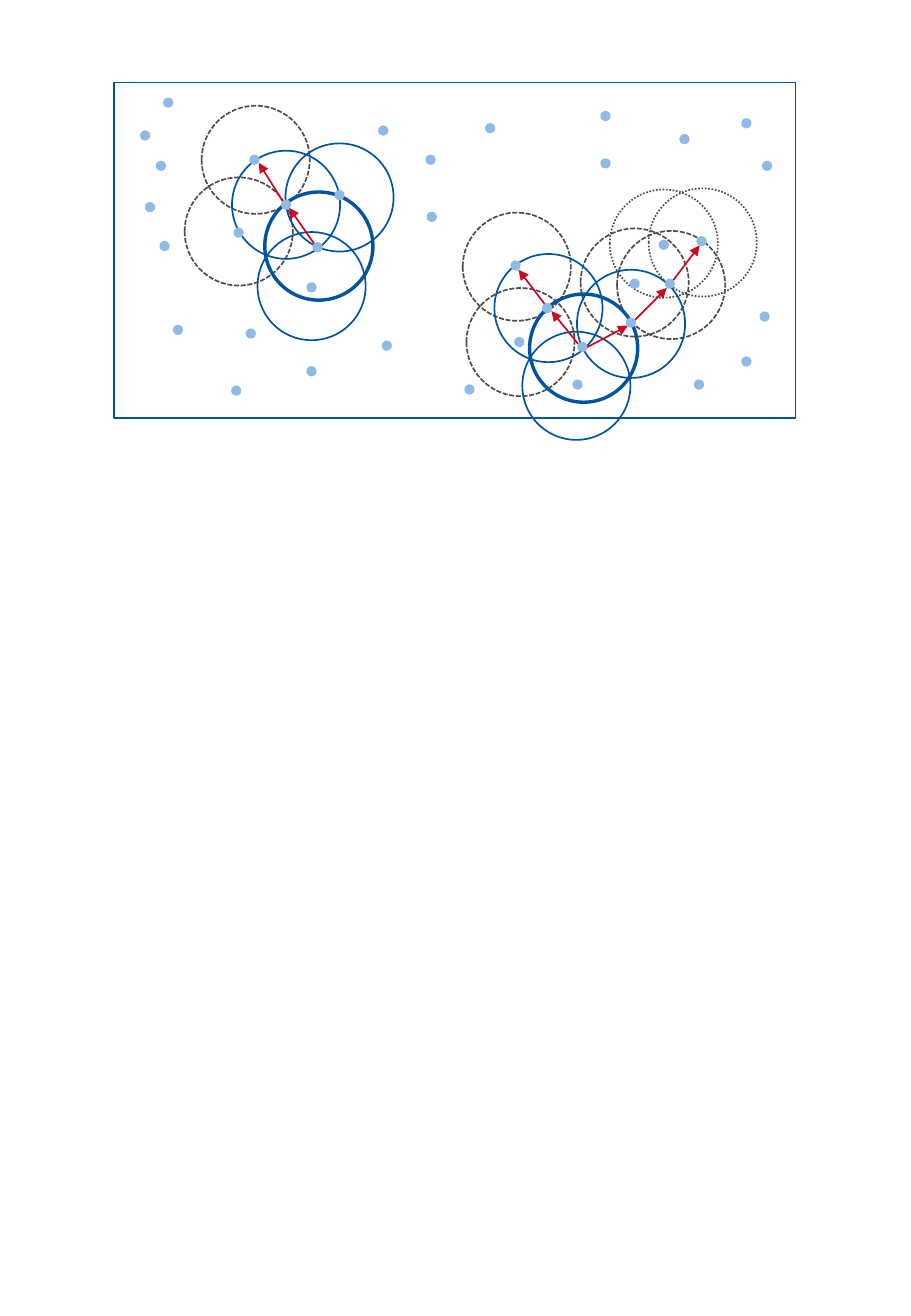
from lxml.etree import SubElement
from pptx import Presentation
from pptx.dml.color import RGBColor
from pptx.enum.dml import MSO_LINE
from pptx.enum.shapes import MSO_CONNECTOR, MSO_SHAPE
from pptx.oxml.ns import qn
from pptx.util import Pt

SCALE = 9144
RING = 89
DOT = 7
BLUE, LIGHT, RED, GREY = "00549F", "8EBAE5", "CC071E", "4D4D4D"

STYLES = {
    "outer": (GREY, 1, MSO_LINE.ROUND_DOT),
    "border": (GREY, 1, MSO_LINE.SQUARE_DOT),
    "core": (BLUE, 2, None),
    "near": (BLUE, 1, None),
}

FIELD = (94, 68, 561, 276)
NOISE = [
    (41, 13), (22, 40), (35, 65), (26, 99), (38, 131), (109, 203),
    (49, 200), (97, 250), (159, 234), (221, 213), (289, 249), (258, 107),
    (218, 36), (257, 60), (306, 34), (401, 24), (401, 63), (466, 43),
    (517, 30), (534, 65), (532, 189), (517, 226), (478, 245),
]

LEFT = (152, 87, 172, 193)
LEFT_RINGS = {
    "border": [(14, 0), (0, 59)],
    "core": [(66, 71)],
    "near": [(83, 31), (60, 104), (39, 37)],
}
LEFT_STEPS = [(81, 79, 61, 47), (107, 114, 86, 84)]
LEFT_DOTS = [(124, 70), (41, 101), (101, 146), (54, 41), (80, 78), (106, 113)]

RIGHT = (381, 155, 242, 207)
RIGHT_RINGS = {
    "outer": [(121, 1), (153, 0)],
    "border": [(0, 20), (127, 35), (3, 82), (97, 33)],
    "core": [(55, 87)],
    "near": [(26, 54), (94, 67), (49, 118)],
}
RIGHT_STEPS = [
    (68, 96, 46, 67), (95, 128, 73, 101), (102, 131, 136, 113),
    (173, 76, 195, 47), (140, 110, 168, 82),
]
RIGHT_DOTS = [
    (66, 95), (40, 60), (193, 40), (162, 43), (43, 123),
    (91, 158), (95, 127), (135, 107), (138, 75), (167, 75),
]


def px(count):
    return count * SCALE


def tint(code):
    return RGBColor.from_string(code)


def stroke(item, color, width=1, dash=None):
    item.line.color.rgb = tint(color)
    item.line.width = Pt(width)
    if dash:
        item.line.dash_style = dash


def draw(slide, kind, box, style, fill=None):
    shape = slide.shapes.add_shape(kind, *map(px, box))
    shape.shadow.inherit = False
    if fill:
        shape.fill.solid()
        shape.fill.fore_color.rgb = tint(fill)
    else:
        shape.fill.background()
    stroke(shape, *style)


def arrow(slide, ends):
    link = slide.shapes.add_connector(MSO_CONNECTOR.STRAIGHT, *map(px, ends))
    stroke(link, RED)
    SubElement(link.line._get_or_add_ln(), qn("a:tailEnd"), type="triangle")
    SubElement(link._element.spPr, qn("a:effectLst"))


def scatter(slide, box, dots):
    left, top = box[:2]
    for x, y in dots:
        place = (left + x, top + y, DOT, DOT)
        draw(slide, MSO_SHAPE.OVAL, place, (LIGHT,), LIGHT)


def field(slide, box):
    draw(slide, MSO_SHAPE.RECTANGLE, box, (BLUE,))
    scatter(slide, box, NOISE)


def cluster(slide, box, rings, steps, dots):
    left, top = box[:2]
    for name, spots in rings.items():
        for x, y in spots:
            place = (left + x, top + y, RING, RING)
            draw(slide, MSO_SHAPE.OVAL, place, STYLES[name])
    for x1, y1, x2, y2 in steps:
        arrow(slide, (left + x1, top + y1, left + x2, top + y2))
    scatter(slide, box, dots)


def main():
    deck = Presentation()
    deck.slide_width, deck.slide_height = px(750), px(1083)
    slide = deck.slides.add_slide(deck.slide_layouts[6])
    field(slide, FIELD)
    cluster(slide, LEFT, LEFT_RINGS, LEFT_STEPS, LEFT_DOTS)
    cluster(slide, RIGHT, RIGHT_RINGS, RIGHT_STEPS, RIGHT_DOTS)
    deck.save("out.pptx")


if __name__ == "__main__":
    main()
